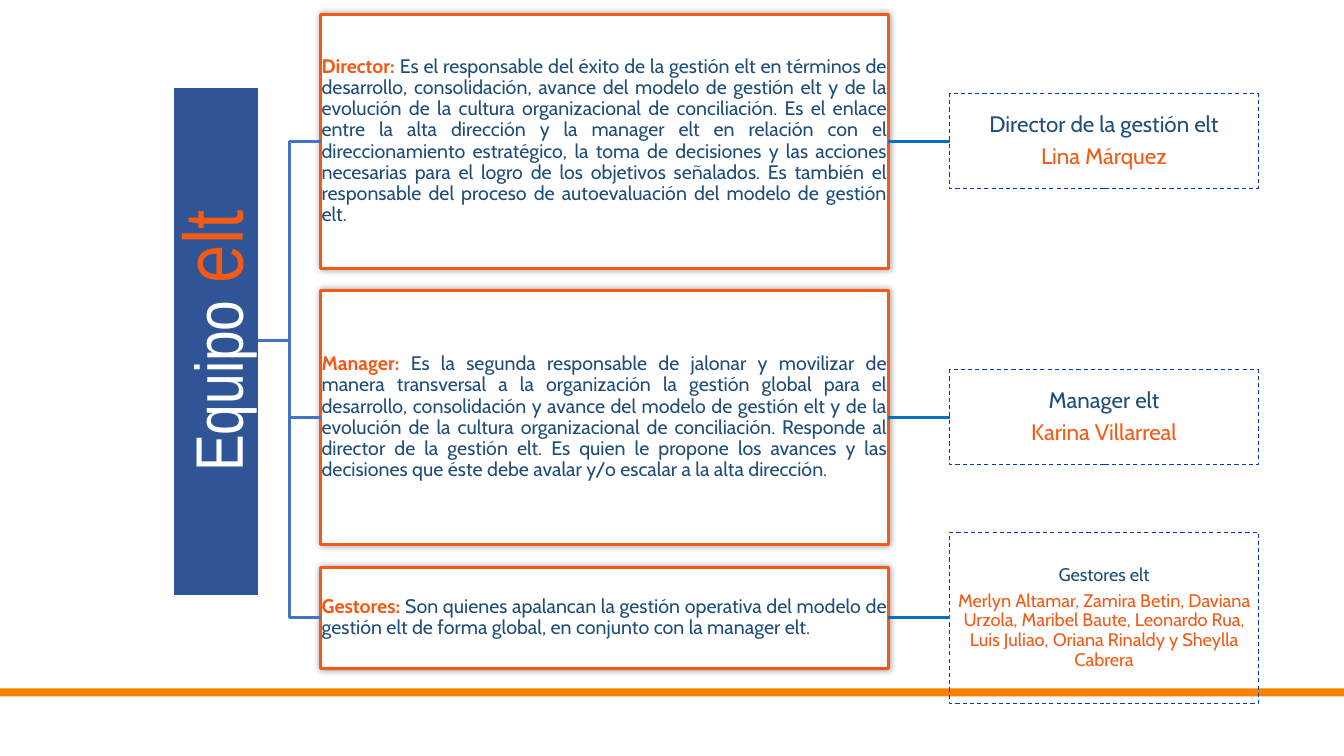
from lxml.etree import SubElement
from pptx import Presentation
from pptx.dml.color import RGBColor as RGB
from pptx.enum.dml import MSO_LINE as Dash
from pptx.enum.shapes import MSO_CONNECTOR as Link, MSO_SHAPE as Shape
from pptx.enum.text import MSO_ANCHOR as Anchor, MSO_AUTO_SIZE as Fit, PP_ALIGN as Align
from pptx.oxml.ns import qn
from pptx.util import Pt

PX = 9144
HUES = {
    "white": "FFFFFF", "orange": "F25A16", "band": "F98100", "navy": "1F4E79",
    "panel": "2F5597", "branch": "4472C4", "link": "0070C0", "dash": "003DB8",
}
TEAM = [
    (140, 252, 94, 16, "Director: ",
     "Es el responsable del éxito de la gestión elt en términos de desarrollo, consolidación, "
     "avance del modelo de gestión elt y de la evolución de la cultura organizacional de "
     "conciliación. Es el enlace entre la alta dirección y la manager elt en relación con el "
     "direccionamiento estratégico, la toma de decisiones y las acciones necesarias para el "
     "logro de los objetivos señalados. Es también el responsable del proceso de "
     "autoevaluación del modelo de gestión elt.",
     "Director de la gestión elt", "Lina Márquez"),
    (414, 252, 94, 16, "Manager: ",
     "Es la segunda responsable de jalonar y movilizar de manera transversal a la organización "
     "la gestión global para el desarrollo, consolidación y avance del modelo de gestión elt y "
     "de la evolución de la cultura organizacional de conciliación. Responde al director de la "
     "gestión elt. Es quien le propone los avances y las decisiones que éste debe avalar y/o "
     "escalar a la alta dirección.",
     "Manager elt", "Karina Villarreal"),
    (613, 100, 170, 13, "Gestores: ",
     "Son quienes apalancan la gestión operativa del modelo de gestión elt de forma global, "
     "en conjunto con la manager elt.",
     "Gestores elt",
     "Merlyn Altamar, Zamira Betin, Daviana Urzola, Maribel Baute, Leonardo Rua, "
     "Luis Juliao, Oriana Rinaldy y Sheylla Cabrera"),
]


def color(name):
    return RGB.from_string(HUES[name])


def write(box, paras, font="Cabin", align=Align.CENTER, inset=1, gap=0):
    frame = box.text_frame
    frame.word_wrap = True
    frame.auto_size = Fit.NONE
    frame.vertical_anchor = Anchor.MIDDLE
    frame.margin_left = frame.margin_right = inset * PX
    frame.margin_top = frame.margin_bottom = inset * PX
    for i, runs in enumerate(paras):
        para = frame.add_paragraph() if i else frame.paragraphs[0]
        para.alignment = align
        para.line_spacing = 0.9
        para.space_before = Pt(gap if i else 0)
        para.space_after = Pt(0)
        for text, size, hue, bold in runs:
            run = para.add_run()
            run.text = text
            run.font.name = font
            run.font.size = Pt(size)
            run.font.bold = bold
            run.font.color.rgb = color(hue)


deck = Presentation()
deck.slide_width, deck.slide_height = 1333 * PX, 750 * PX
slide = deck.slides.add_slide(deck.slide_layouts[5])
shapes = slide.shapes

band = shapes.add_shape(Shape.RECTANGLE, 0, 683 * PX, 1333 * PX, 8 * PX)
band.shadow.inherit = False
band.fill.solid()
band.fill.fore_color.rgb = color("band")
band.line.fill.background()

title = shapes.title
title.left, title.top, title.width, title.height = [n * PX for n in (-38, 296, 504, 85)]
title.rotation = 270
title.fill.solid()
title.fill.fore_color.rgb = color("panel")
title.line.color.rgb = color("white")
title.line.width = Pt(1)
write(title, [[("Equipo", 48, "white", False), (" ", 54, "white", False),
               ("elt", 60, "orange", False)]], font="Arial Narrow", inset=3)

for mid, tall, high, size, role, duty, post, names in TEAM:
    job = shapes.add_shape(Shape.RECTANGLE, 318 * PX, (mid - tall // 2) * PX, 563 * PX, tall * PX)
    job.shadow.inherit = False
    job.fill.solid()
    job.fill.fore_color.rgb = color("white")
    job.line.color.rgb = color("orange")
    job.line.width = Pt(2.25)
    glow = SubElement(job._element.spPr.find(qn("a:effectLst")), qn("a:outerShdw"),
                      blurRad=str(Pt(5)), dist="0", dir="0", algn="ctr", rotWithShape="0")
    tint = SubElement(glow, qn("a:srgbClr"), val="000000")
    SubElement(tint, qn("a:alpha"), val="40000")
    write(job, [[(role, 14, "orange", True), (duty, 14, "navy", False)]], align=Align.JUSTIFY)

    staff = shapes.add_shape(Shape.RECTANGLE, 942 * PX, (mid - high // 2) * PX, 306 * PX, high * PX)
    staff.shadow.inherit = False
    staff.fill.background()
    staff.line.color.rgb = color("dash")
    staff.line.width = Pt(0.75)
    staff.line.dash_style = Dash.DASH
    write(staff, [[(post, size, "navy", False)], [(names, size, "orange", False)]],
          gap=round(size * 0.35, 1))

    branch = shapes.add_connector(Link.ELBOW, 256 * PX, 338 * PX, 318 * PX, mid * PX)
    link = shapes.add_connector(Link.STRAIGHT, 881 * PX, mid * PX, 942 * PX, mid * PX)
    link.begin_connect(job, 3)
    link.end_connect(staff, 1)
    for wire, hue in ((branch, "branch"), (link, "link")):
        wire.line.color.rgb = color(hue)
        wire.line.width = Pt(2.25)
        SubElement(wire._element.spPr, qn("a:effectLst"))

deck.save("out.pptx")
